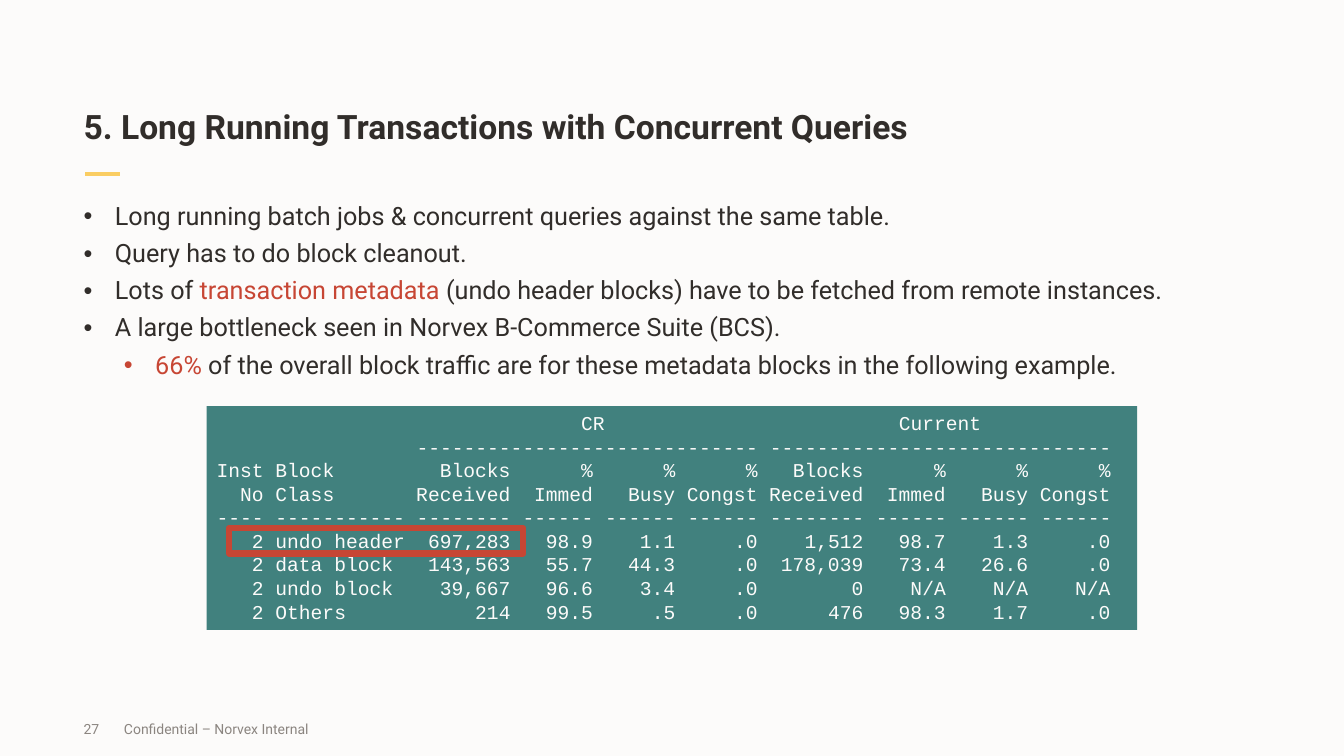
from dataclasses import dataclass

from lxml import etree
from pptx import Presentation
from pptx.dml.color import RGBColor
from pptx.enum.shapes import MSO_CONNECTOR, MSO_SHAPE
from pptx.enum.text import MSO_ANCHOR, MSO_AUTO_SIZE, PP_ALIGN
from pptx.oxml.ns import qn
from pptx.util import Pt

LEFT = PP_ALIGN.LEFT
TOP, MIDDLE, BOTTOM = MSO_ANCHOR.TOP, MSO_ANCHOR.MIDDLE, MSO_ANCHOR.BOTTOM
FIXED, GROW = MSO_AUTO_SIZE.NONE, MSO_AUTO_SIZE.SHAPE_TO_FIT_TEXT
RECTANGLE, STRAIGHT = MSO_SHAPE.RECTANGLE, MSO_CONNECTOR.STRAIGHT

EMU_PER_PX = 9144  # 100 px to the inch
PAPER, INK, GREY = "FCFBFA", "312D2A", "8B8580"
RED, TEAL, YELLOW = "C74634", "41817E", "FACD62"
SANS, MONO = "Roboto", "Courier New"
REPORT_SIZE = 14
CHARACTER_WIDTH = Pt(REPORT_SIZE * 0.6)


@dataclass(frozen=True)
class Span:
    text: str
    color: str = INK


@dataclass(frozen=True)
class Bullet:
    spans: tuple[Span, ...]
    indent: int = 31


@dataclass(frozen=True)
class ReportLine:
    """Tabbed text with its tab stops counted in characters."""
    text: str
    left_stops: tuple[int, ...] = ()
    right_stops: tuple[int, ...] = ()


@dataclass(frozen=True)
class FooterPart:
    text: str
    left: int
    width: int


BULLETS = (
    Bullet((Span("Long running batch jobs & concurrent queries against the same table."),)),
    Bullet((Span("Query has to do block cleanout."),)),
    Bullet((Span("Lots of "), Span("transaction metadata", RED),
            Span(" (undo header blocks) have to be fetched from remote instances."))),
    Bullet((Span("A large bottleneck seen in Norvex B-Commerce Suite (BCS)."),)),
    Bullet((Span("66%", RED),
            Span(" of the overall block traffic are for these metadata blocks"
                 " in the following example.")), indent=71),
)

COLUMN_WIDTHS = (4, 11, 8, 6, 6, 6, 8, 6, 6, 6)
COLUMN_ENDS = tuple(sum(COLUMN_WIDTHS[:i + 1]) + i for i in range(len(COLUMN_WIDTHS)))
NUMBER_ENDS = COLUMN_ENDS[2:]
GROUP_RULE = "-" * 29
REPORT = (
    ReportLine("\tCR\tCurrent", (31, 58)),
    ReportLine(f"\t{GROUP_RULE} {GROUP_RULE}", (17,)),
    ReportLine("Inst Block" + "\tBlocks\t%\t%\t%" * 2, (), NUMBER_ENDS),
    ReportLine("\tNo Class" + "\tReceived\tImmed\tBusy\tCongst" * 2, (2,), NUMBER_ENDS),
    ReportLine(" ".join("-" * width for width in COLUMN_WIDTHS)),
    *(ReportLine("\t" + "\t".join(cells), (3,), NUMBER_ENDS) for cells in (
        ("2 undo header", "697,283", "98.9", "1.1", ".0", "1,512", "98.7", "1.3", ".0"),
        ("2 data block", "143,563", "55.7", "44.3", ".0", "178,039", "73.4", "26.6", ".0"),
        ("2 undo block", "39,667", "96.6", "3.4", ".0", "0", "N/A", "N/A", "N/A"),
        ("2 Others", "214", "99.5", ".5", ".0", "476", "98.3", "1.7", ".0"),
    )),
)

FOOTER = (
    FooterPart("27", 83, 40),
    FooterPart("Confidential – Norvex Internal", 123, 440),
)


def px(length: int) -> int:
    return length * EMU_PER_PX


def rgb(color: str) -> RGBColor:
    return RGBColor.from_string(color)


def set_frame(shape, *, anchor=TOP, inset: int | None = 0, auto_size=FIXED):
    """Prepare a text frame; an inset of None keeps the default margins."""
    frame = shape.text_frame
    frame.word_wrap = True
    frame.auto_size = auto_size
    frame.vertical_anchor = anchor
    if inset is not None:
        frame.margin_left = frame.margin_right = px(inset)
        frame.margin_top = frame.margin_bottom = px(inset)
    return frame


def add_box(slide, left: int, top: int, width: int, height: int, **frame_format):
    box = slide.shapes.add_textbox(px(left), px(top), px(width), px(height))
    return set_frame(box, **frame_format)


def add_rectangle(slide, left: int, top: int, width: int, height: int, *,
                  fill: str | None = None, line: str | None = None, weight: float = 1):
    shape = slide.shapes.add_shape(RECTANGLE, px(left), px(top), px(width), px(height))
    shape.shadow.inherit = False
    if fill:
        shape.fill.solid()
        shape.fill.fore_color.rgb = rgb(fill)
    else:
        shape.fill.background()
    if line:
        shape.line.color.rgb = rgb(line)
        shape.line.width = Pt(weight)
    else:
        shape.line.fill.background()
    return shape


def next_paragraph(frame, index: int):
    return frame.paragraphs[0] if index == 0 else frame.add_paragraph()


def write(para, spans: tuple[Span, ...], *, size: int, font: str = SANS, bold: bool = False,
          line_spacing: float = 1.0, space_before: int = 0) -> None:
    para.alignment = LEFT
    para.line_spacing = line_spacing
    para.space_before = Pt(space_before)
    for span in spans:
        run = para.add_run()
        run.text = span.text
        run.font.size = Pt(size)
        run.font.name = font
        run.font.bold = bold
        run.font.color.rgb = rgb(span.color)


def set_bullet(para, indent: int) -> None:
    properties = para._p.get_or_add_pPr()
    properties.set("marL", str(px(indent)))
    properties.set("indent", str(px(-31)))
    etree.SubElement(properties, qn("a:buFont"), typeface="Arial")
    etree.SubElement(properties, qn("a:buChar"), char="•")


def set_tabs(para, line: ReportLine) -> None:
    tabs = etree.SubElement(para._p.get_or_add_pPr(), qn("a:tabLst"))
    for alignment, stops in (("l", line.left_stops), ("r", line.right_stops)):
        for stop in stops:
            etree.SubElement(tabs, qn("a:tab"), pos=str(stop * CHARACTER_WIDTH), algn=alignment)


def add_title(slide, text: str) -> None:
    title = slide.shapes.title
    title.left, title.top, title.width, title.height = px(83), px(56), px(1167), px(90)
    frame = set_frame(title, anchor=BOTTOM)
    write(frame.paragraphs[0], (Span(text),), size=24, bold=True, line_spacing=0.95)


def add_accent(slide) -> None:
    accent = slide.shapes.add_connector(STRAIGHT, px(119), px(173), px(84), px(173))
    accent.line.color.rgb = rgb(YELLOW)
    accent.line.width = Pt(3)
    etree.SubElement(accent._element.spPr, qn("a:effectLst"))


def add_bullets(slide) -> None:
    frame = add_box(slide, 83, 201, 1167, 466)
    for index, bullet in enumerate(BULLETS):
        para = next_paragraph(frame, index)
        set_bullet(para, bullet.indent)
        write(para, bullet.spans, size=18, line_spacing=0.95, space_before=6 if index else 0)


def add_report(slide) -> None:
    panel = add_rectangle(slide, 205, 403, 923, 222, fill=TEAL)
    frame = set_frame(panel, inset=None, auto_size=GROW)
    for index, line in enumerate(REPORT):
        para = next_paragraph(frame, index)
        if line.left_stops or line.right_stops:
            set_tabs(para, line)
        write(para, (Span(line.text, PAPER),), size=REPORT_SIZE, font=MONO)
    add_rectangle(slide, 227, 524, 292, 25, line=RED, weight=4.5)


def main() -> None:
    deck = Presentation()
    deck.slide_width, deck.slide_height = px(1333), px(750)
    slide = deck.slides.add_slide(deck.slide_layouts[5])
    slide.background.fill.solid()
    slide.background.fill.fore_color.rgb = rgb(PAPER)
    add_accent(slide)
    for part in FOOTER:
        frame = add_box(slide, part.left, 703, part.width, 40, anchor=MIDDLE)
        write(frame.paragraphs[0], (Span(part.text, GREY),), size=10)
    add_bullets(slide)
    add_title(slide, "5. Long Running Transactions with Concurrent Queries")
    add_report(slide)
    deck.save("out.pptx")


if __name__ == "__main__":
    main()
